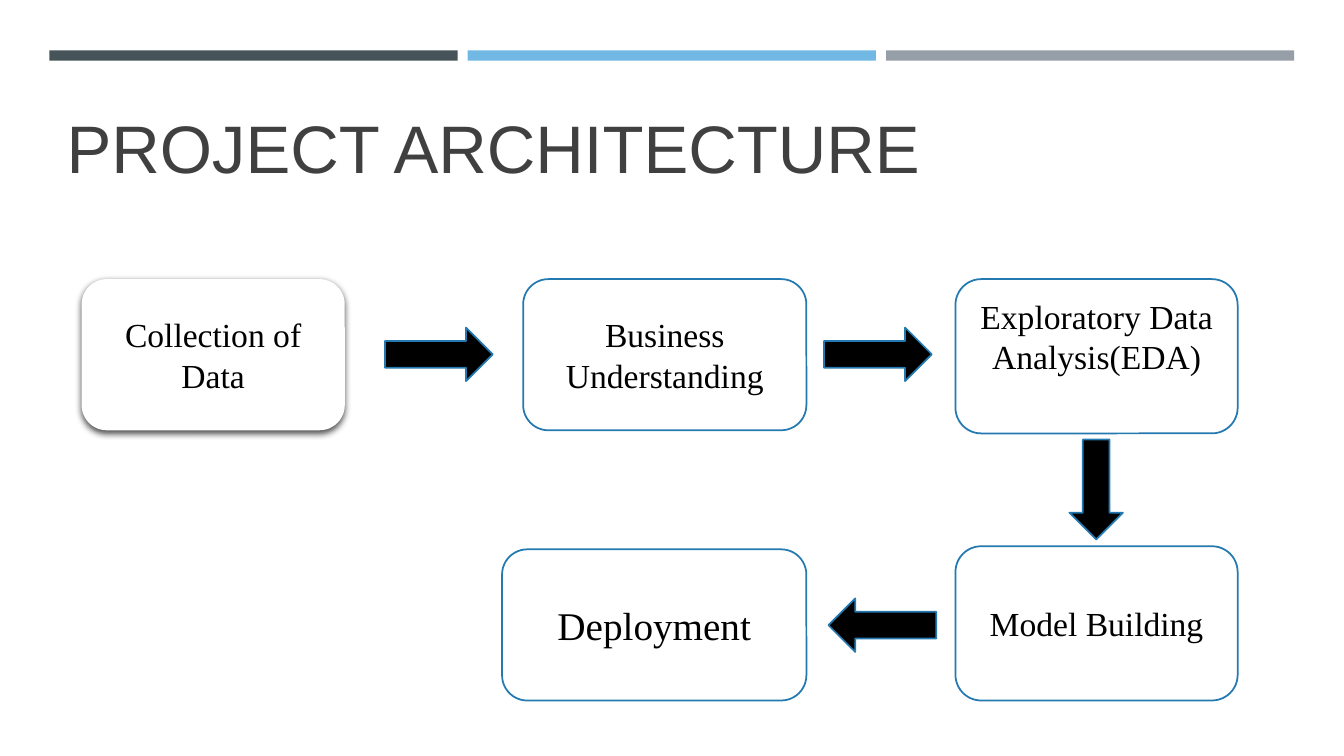
from lxml import etree
from pptx import Presentation
from pptx.dml.color import RGBColor
from pptx.enum.shapes import MSO_SHAPE as Kind
from pptx.enum.text import MSO_ANCHOR as Anchor, PP_ALIGN as Align
from pptx.util import Pt

NS = "http://schemas.openxmlformats.org/drawingml/2006/main"


def tint(code):
    return RGBColor.from_string(code)


def draw(kind, left, top, wide, high, fill, line=None):
    shape = slide.shapes.add_shape(kind, Pt(left), Pt(top), Pt(wide), Pt(high))
    shape.shadow.inherit = False
    shape.fill.solid()
    shape.fill.fore_color.rgb = tint(fill)
    if line:
        shape.line.color.rgb = tint(line)
        shape.line.width = Pt(1.25)
    else:
        shape.line.fill.background()
    return shape


deck = Presentation()
deck.slide_width, deck.slide_height = Pt(960), Pt(540)
slide = deck.slides.add_slide(deck.slide_layouts[5])

# Top bars
for i, hue in enumerate(["465359", "71B9E4", "969FA7"]):
    draw(Kind.RECTANGLE, 35.3 + i * 298.8, 36, 291.6, 7.4, hue)

# Title
title = slide.shapes.title
title.left, title.top, title.width, title.height = Pt(40.3), Pt(61.2), Pt(868.3), Pt(76.3)
frame = title.text_frame
frame.text = "PROJECT ARCHITECTURE"
frame.vertical_anchor = Anchor.BOTTOM
frame.paragraphs[0].alignment = Align.LEFT
font = frame.paragraphs[0].runs[0].font
font.name, font.size, font.color.rgb = "Arial", Pt(48), tint("404040")

# Step boxes: text, left, top, width, height, size, line, space below the text
EDGE = "2379B0"
steps = [
    ("Collection of Data", 58.3, 199.4, 188, 108, 24, None, 3.6),
    ("Business Understanding", 373.7, 199.4, 202.3, 108, 24, EDGE, 3.6),
    ("Exploratory Data Analysis(EDA)", 682.5, 199.4, 201.6, 110.2, 24, EDGE, 32),
    ("Model Building", 682.5, 390.2, 201.6, 110.2, 24, EDGE, 3.6),
    ("Deployment", 358.6, 392.4, 217.4, 108, 28, EDGE, 3.6),
]
for text, left, top, wide, high, size, line, gap in steps:
    box = draw(Kind.ROUNDED_RECTANGLE, left, top, wide, high, "FFFFFF", line)
    frame = box.text_frame
    frame.text = text
    frame.word_wrap = True
    frame.vertical_anchor = Anchor.MIDDLE
    frame.margin_bottom = Pt(gap)
    frame.paragraphs[0].alignment = Align.CENTER
    font = frame.paragraphs[0].runs[0].font
    font.name, font.size, font.color.rgb = "Times New Roman", Pt(size), tint("000000")

    # Soft shadow under the box without an outline
    if not line:
        glow = box._element.spPr.find(f"{{{NS}}}effectLst")
        glow.append(etree.fromstring(
            f'<a:outerShdw xmlns:a="{NS}" blurRad="{Pt(5)}" dist="{Pt(2)}" dir="5400000" '
            'rotWithShape="0"><a:srgbClr val="000000"><a:alpha val="69000"/></a:srgbClr>'
            '</a:outerShdw>'))

# Arrows between the steps
arrows = [
    (Kind.RIGHT_ARROW, 275, 234, 77, 38.2),
    (Kind.RIGHT_ARROW, 588.6, 234, 77, 38.2),
    (Kind.DOWN_ARROW, 763.9, 314, 38.2, 71.3),
    (Kind.LEFT_ARROW, 591.8, 427.5, 77, 38.2),
]
for kind, left, top, wide, high in arrows:
    draw(kind, left, top, wide, high, "000000", EDGE)

deck.save("out.pptx")
